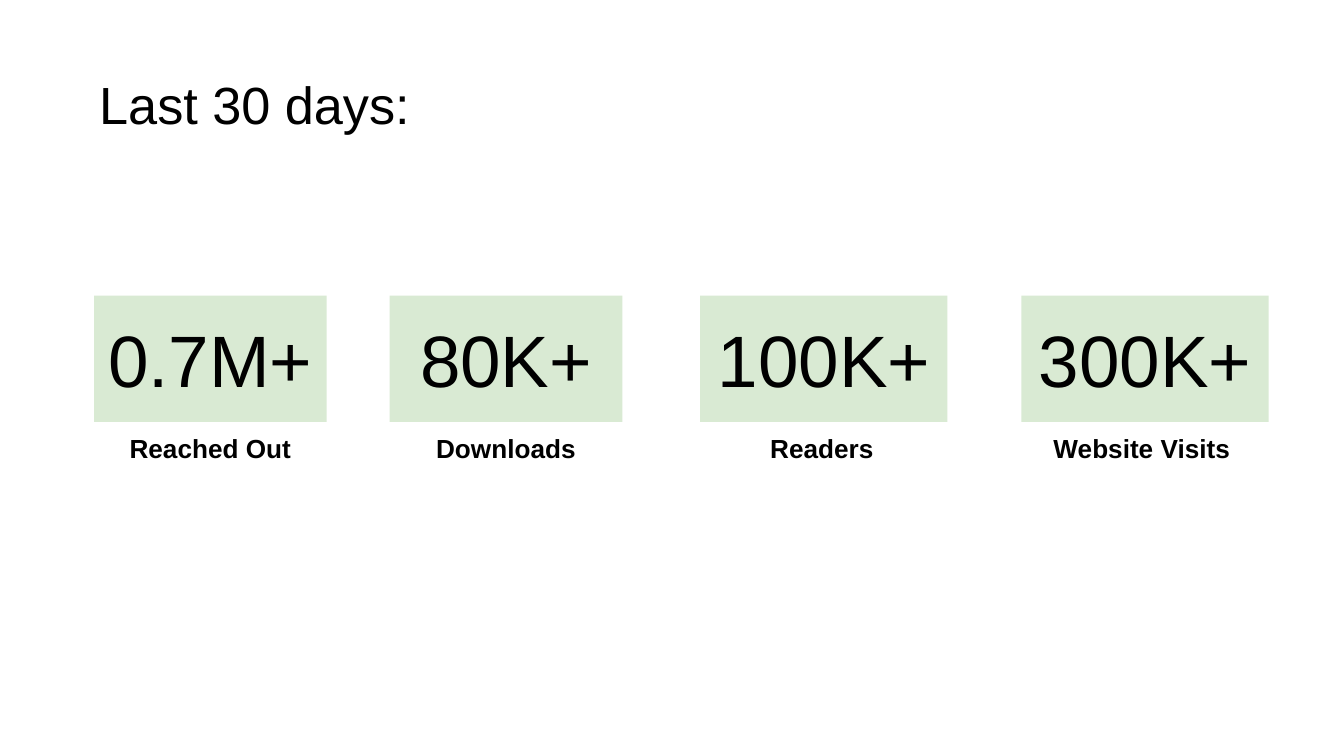
from typing import NamedTuple

from pptx import Presentation
from pptx.dml.color import RGBColor
from pptx.enum import shapes, text
from pptx.util import Pt

BLACK = "000000"
PALE_GREEN = "D9EAD3"
NUMBER_TOP, NUMBER_HEIGHT = 158.4, 67.7
LABEL_TOP, LABEL_WIDTH, LABEL_HEIGHT = 223.9, 124.6, 32.4


class Metric(NamedTuple):
    number: str
    label: str
    left: float
    width: float
    label_left: float


METRICS = [
    Metric("0.7M+", "Reached Out", 50.4, 124.6, 50.4),
    Metric("80K+", "Downloads", 208.8, 124.6, 208.8),
    Metric("100K+", "Readers", 375.1, 132.5, 378),
    Metric("300K+", "Website Visits", 547.2, 132.5, 549.4),
]


def colour(value: str) -> RGBColor:
    return RGBColor.from_string(value)


def write(shape, words: str, *, size: float, bold: bool = False,
          align=text.PP_ALIGN.CENTER, anchor=text.MSO_ANCHOR.MIDDLE) -> None:
    frame = shape.text_frame
    frame.word_wrap = True
    frame.vertical_anchor = anchor
    frame.margin_left = frame.margin_right = Pt(7.2)
    frame.margin_top = frame.margin_bottom = Pt(7.2)
    paragraph = frame.paragraphs[0]
    paragraph.alignment = align
    run = paragraph.add_run()
    run.text = words
    run.font.name = "Arial"
    run.font.size = Pt(size)
    run.font.bold = bold
    run.font.color.rgb = colour(BLACK)


def draw_metric(slide, metric: Metric) -> None:
    card = slide.shapes.add_shape(
        shapes.MSO_SHAPE.RECTANGLE, Pt(metric.left), Pt(NUMBER_TOP),
        Pt(metric.width), Pt(NUMBER_HEIGHT))
    card.shadow.inherit = False
    card.fill.solid()
    card.fill.fore_color.rgb = colour(PALE_GREEN)
    card.line.fill.background()
    write(card, metric.number, size=39)

    caption = slide.shapes.add_textbox(
        Pt(metric.label_left), Pt(LABEL_TOP), Pt(LABEL_WIDTH), Pt(LABEL_HEIGHT))
    write(caption, metric.label, size=14, bold=True)


def main() -> None:
    deck = Presentation()
    deck.slide_width, deck.slide_height = Pt(720), Pt(405)
    slide = deck.slides.add_slide(deck.slide_layouts[6])

    heading = slide.shapes.add_textbox(Pt(46.1), Pt(31.5), Pt(640), Pt(45.4))
    write(heading, "Last 30 days:", size=28,
          align=text.PP_ALIGN.LEFT, anchor=text.MSO_ANCHOR.TOP)

    for metric in METRICS:
        draw_metric(slide, metric)
    deck.save("out.pptx")


if __name__ == "__main__":
    main()
